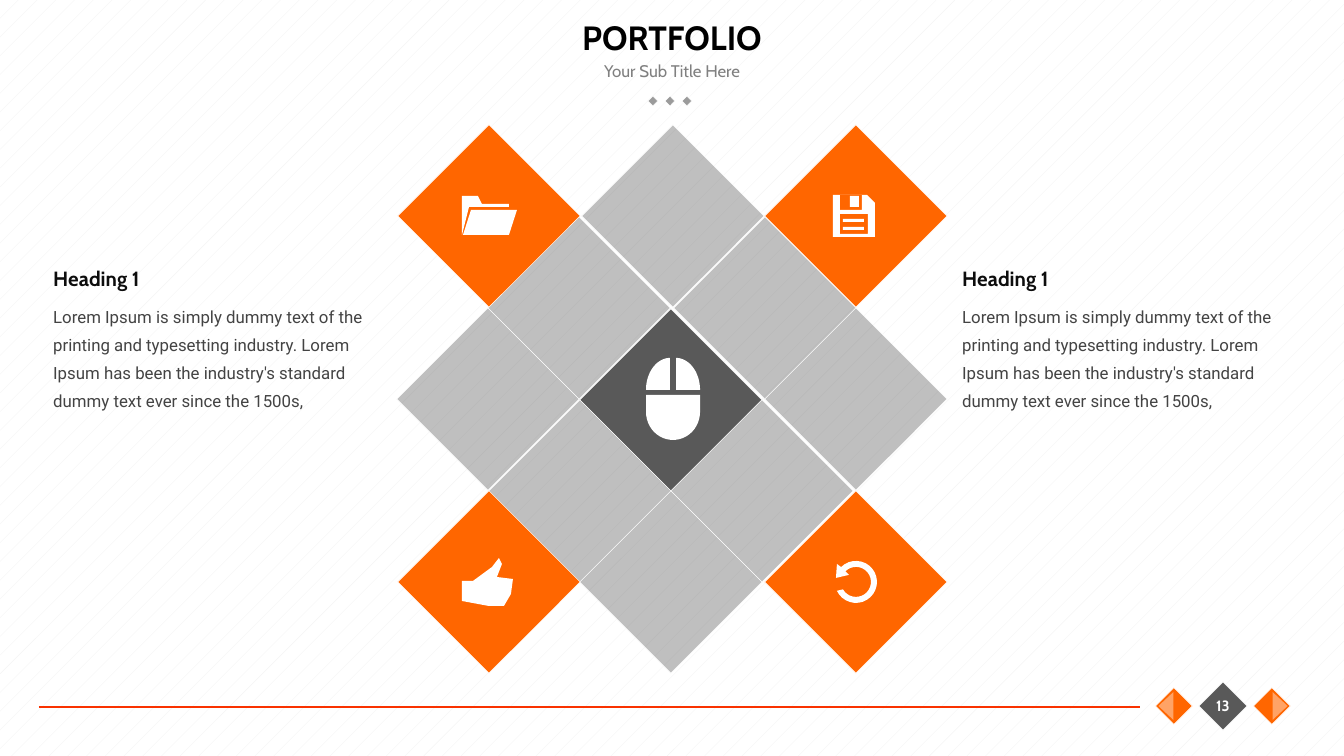
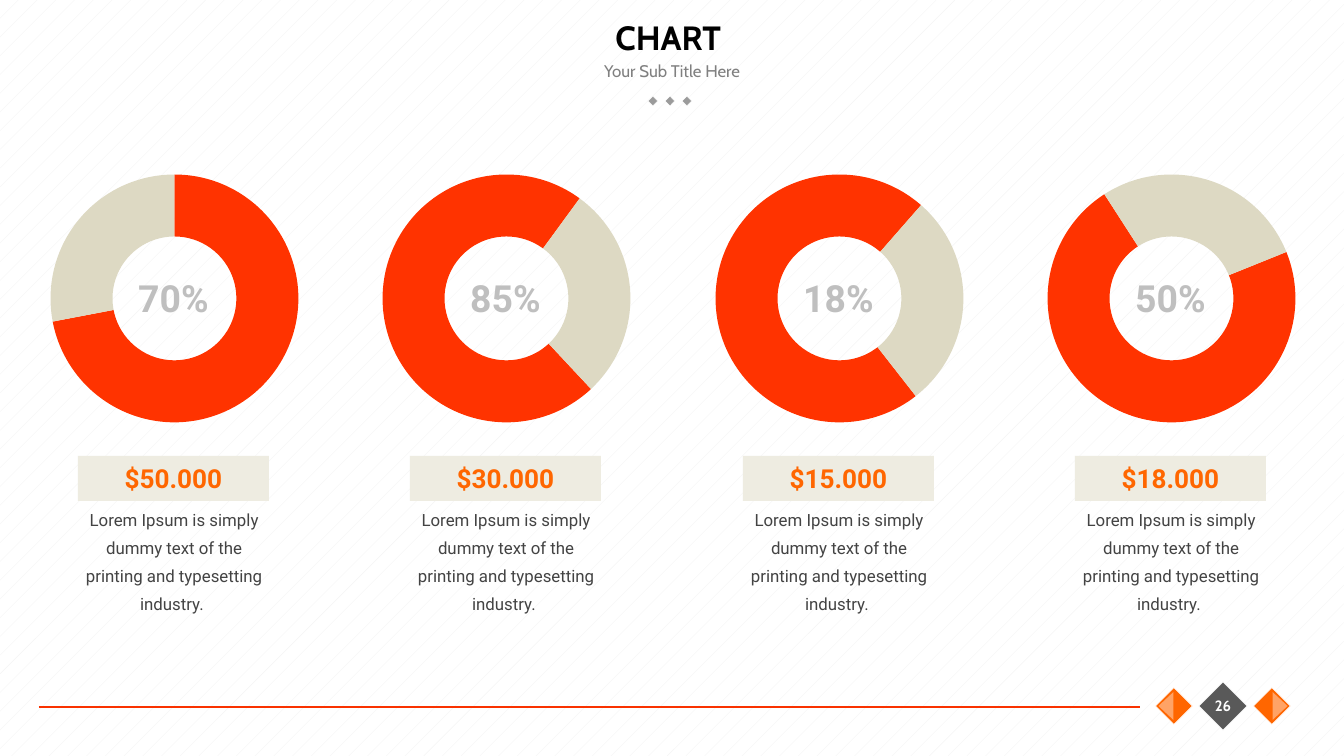
import math

import pptx
import pptx.chart.data
import pptx.dml.color
import pptx.enum.chart
import pptx.enum.dml
import pptx.enum.shapes
import pptx.enum.text
import pptx.util
from lxml import etree
from pptx.oxml.ns import qn

PX = 914400 / 134.4
SHAPE = pptx.enum.shapes.MSO_SHAPE
CENTER = {"alignment": pptx.enum.text.PP_ALIGN.CENTER}
LEFT = {"alignment": pptx.enum.text.PP_ALIGN.LEFT}
LEADING = {"line_spacing": pptx.util.Pt(15)}
MIDDLE = {"vertical_anchor": pptx.enum.text.MSO_ANCHOR.MIDDLE}
GROW = {"auto_size": pptx.enum.text.MSO_AUTO_SIZE.SHAPE_TO_FIT_TEXT}

COLORS = {
    "white": "FFFFFF", "hatch": "F2F2F2", "black": "000000",
    "orange": "FF6600", "pale_orange": "FFA366", "rule": "F93200",
    "dark": "595959", "tile": "494949", "dot": "9B9B9B",
    "subtitle": "808080", "heading": "0D0D0D", "body": "434343",
    "percent": "BFBFBF", "red": "FF3300", "sand": "DDD9C3", "chip": "EEECE1",
}

# Text styles: font, size, bold, colour, paragraph values, frame values
STYLES = {
    "title": ("Cabin", 18, True, "black", CENTER, MIDDLE),
    "subtitle": ("Cabin", 9, False, "subtitle", CENTER, MIDDLE),
    "number": ("Cabin", 8, True, "white", CENTER, MIDDLE),
    "heading": ("Cabin", 11, True, "heading", LEFT, GROW),
    "body": ("Roboto", 9, False, "body", {**LEFT, **LEADING}, GROW),
    "caption": ("Roboto", 9, False, "body", {**CENTER, **LEADING}, GROW),
    "percent": ("Roboto", 20, True, "percent", CENTER, GROW),
    "price": ("Roboto", 14, True, "orange", CENTER, GROW),
}

LOREM = "Lorem Ipsum is simply dummy text of the printing and typesetting industry. "
LOREM_LONG = LOREM + ("Lorem Ipsum has been the industry's standard dummy text "
                      "ever since the 1500s,")


# Basic helpers
def emu(*px):
    return [pptx.util.Emu(round(v * PX)) for v in px]


def rgb(name):
    return pptx.dml.color.RGBColor.from_string(COLORS[name])


def apply(obj, values):
    for key, value in values.items():
        setattr(obj, key, value)


def paint(sp, fill, outline=False, alpha=None):
    sp.shadow.inherit = False
    sp.fill.solid()
    sp.fill.fore_color.rgb = rgb(fill)
    if alpha:
        clr = sp._element.spPr.find(".//" + qn("a:srgbClr"))
        etree.SubElement(clr, qn("a:alpha"), val=str(alpha * 1000))
    if outline:
        sp.line.color.rgb = rgb("white")
        sp.line.width = pptx.util.Pt(0.25)
    else:
        sp.line.fill.background()


def write(sp, text, style):
    name, size, bold, color, para, frame = STYLES[style]
    tf = sp.text_frame
    apply(tf, {"word_wrap": True, **frame})
    p = tf.paragraphs[0]
    apply(p, para)
    r = p.add_run()
    r.text = text
    apply(r.font, {"name": name, "size": pptx.util.Pt(size), "bold": bold})
    r.font.color.rgb = rgb(color)


def add_text(s, text, style, x, y, w, h):
    write(s.shapes.add_textbox(*emu(x, y, w, h)), text, style)


def add_centered(s, kind, cx, cy, w, h, rotation, fill, **look):
    sp = s.shapes.add_shape(kind, *emu(cx - w / 2, cy - h / 2, w, h))
    sp.rotation = rotation
    paint(sp, fill, **look)


def add_diamond(s, cx, cy, side, fill, alpha=None):
    add_centered(s, SHAPE.RECTANGLE, cx, cy, side, side, 315, fill,
                 outline=True, alpha=alpha)


# Icons
def arc(cx, cy, rx, ry, start, end, steps=24):
    angles = [math.radians(start + (end - start) * n / steps) for n in range(steps + 1)]
    return [(cx + rx * math.cos(a), cy + ry * math.sin(a)) for a in angles]


def box(x, y, w, h):
    return [(x, y), (x + w, y), (x + w, y + h), (x, y + h)]


def add_icon(s, outlines, fine=20):
    fb = None
    for outline in outlines:
        pts = [(x * fine, y * fine) for x, y in outline]
        if fb is None:
            fb = s.shapes.build_freeform(*pts[0], scale=PX / fine)
        else:
            fb.move_to(*pts[0])
        fb.add_line_segments(pts[1:], close=True)
    paint(fb.convert_to_shape(), "white")


def add_icons(s):
    folder_back = [(462, 196), (478, 196), (482, 204), (509, 204), (509, 207),
                   (469, 207), (462, 235)]
    folder_front = [(471, 210), (517, 210), (509, 235), (463, 235)]
    add_icon(s, [folder_back, folder_front])

    disk = [(833, 195), (867, 195), (875, 203), (875, 237), (833, 237)]
    label_lines = [box(843, y, 21, 3) for y in (219, 227)]
    add_icon(s, [disk, box(840, 195, 22, 15), box(850, 196, 9, 11),
                 box(840, 214, 28, 20), *label_lines])

    arrow = [(837, 564), (836, 578), (849, 575)]
    add_icon(s, [arc(856, 582, 21, 21, 155, -135) + arrow
                 + arc(856, 582, 15, 15, -135, 150)])

    add_icon(s, [[(462, 581), (473, 581), (492, 567), (499, 558), (502, 564),
                  (497, 577), (513, 579), (511, 594), (504, 606), (489, 606),
                  (462, 601)]])

    buttons = [arc(673 + 3 * side, 390, 24 * side, 32, -90, 0)
               + [(673 + 3 * side, 390)] for side in (-1, 1)]
    add_icon(s, [box(646, 395, 54, 17)[:2] + arc(673, 412, 27, 28, 0, 180), *buttons])


# Shared frame: background, title, footer
def add_frame(prs, title, number):
    s = prs.slides.add_slide(prs.slide_layouts[6])
    fill = s.background.fill
    fill.patterned()
    fill.pattern = pptx.enum.dml.MSO_PATTERN.PERCENT_5
    fill.fore_color.rgb = rgb("hatch")
    fill.back_color.rgb = rgb("white")

    for n in range(3):
        add_diamond(s, 653 + 17 * n, 101, 7, "dot")
    add_text(s, "Your Sub Title Here", "subtitle", 504, 54, 336, 34)
    add_text(s, title, "title", 101, 0, 1142, 75)

    ln = s.shapes.add_connector(pptx.enum.shapes.MSO_CONNECTOR.STRAIGHT,
                                *emu(39, 707, 1140, 707))
    ln.line.color.rgb = rgb("rule")
    ln.line.width = pptx.util.Pt(0.75)
    etree.SubElement(ln._element.spPr, qn("a:effectLst"))

    mid_x, mid_y = 1223, 706
    add_diamond(s, mid_x, mid_y, 34, "dark")
    for side in (1, -1):
        add_diamond(s, mid_x + 49 * side, mid_y, 26, "orange")
        add_centered(s, SHAPE.FLOWCHART_EXTRACT, mid_x + 57 * side, mid_y, 28, 15,
                     90 * side % 360, "pale_orange")
    add_text(s, number, "number", mid_x - 28, mid_y - 17, 56, 34)
    return s


# Portfolio slide
def portfolio(prs):
    s = add_frame(prs, "PORTFOLIO", "13")
    for x in (949, 40):
        add_text(s, LOREM_LONG, "body", x, 292, 367, 126)
        add_text(s, "Heading 1", "heading", x, 259, 172, 39)

    for row, (x, y) in enumerate(((673, 216), (579, 308), (488, 399))):
        for col in range(3):
            step = round(91.5 * col)
            look = ("dark", None) if row == col == 1 else ("tile", 35)
            add_diamond(s, x + step, y + step, 129, *look)
    for x in (489, 856):
        for y in (216, 582):
            add_diamond(s, x, y, 129, "orange")
    add_icons(s)


# Chart slide
def add_doughnut(s, x, y, w, h, start):
    cd = pptx.chart.data.CategoryChartData()
    cd.categories = ["1", "2"]
    cd.add_series("Series 1", (72, 28))
    ch = s.shapes.add_chart(pptx.enum.chart.XL_CHART_TYPE.DOUGHNUT,
                            *emu(x, y, w, h), cd).chart
    apply(ch, {"has_legend": False, "has_title": False})
    apply(ch.font, {"name": "Roboto", "size": pptx.util.Pt(18)})
    ch.font.color.rgb = rgb("black")
    plot = ch.plots[0]
    plot.vary_by_categories = True
    for n, color in enumerate(("red", "sand")):
        fmt = plot.series[0].points[n].format
        fmt.fill.solid()
        fmt.fill.fore_color.rgb = rgb(color)
        fmt.line.fill.background()
    for tag, value in (("c:firstSliceAng", start), ("c:holeSize", 80)):
        plot._element.find(qn(tag)).set("val", str(value))


def charts(prs):
    s = add_frame(prs, "CHART ", "26")
    items = (("70%", 0, "$50.000"), ("85%", 137, "$30.000"),
             ("18%", 142, "$15.000"), ("50%", 68, "$18.000"))
    for n, (percent, start, price) in enumerate(items):
        x = 15 + 665 * n // 2
        add_doughnut(s, x, 156, 319, 285, start)
        add_text(s, percent, "percent", x + 84, 269, 149, 59)
        sp = s.shapes.add_shape(SHAPE.RECTANGLE, *emu(x + 63, 456, 191, 45))
        paint(sp, "chip")
        write(sp, price, "price")
        add_text(s, LOREM, "caption", x + 48, 495, 222, 98)


def main():
    prs = pptx.Presentation()
    apply(prs, dict(zip(("slide_width", "slide_height"), emu(1344, 756))))
    portfolio(prs)
    charts(prs)
    prs.save("out.pptx")


if __name__ == "__main__":
    main()
